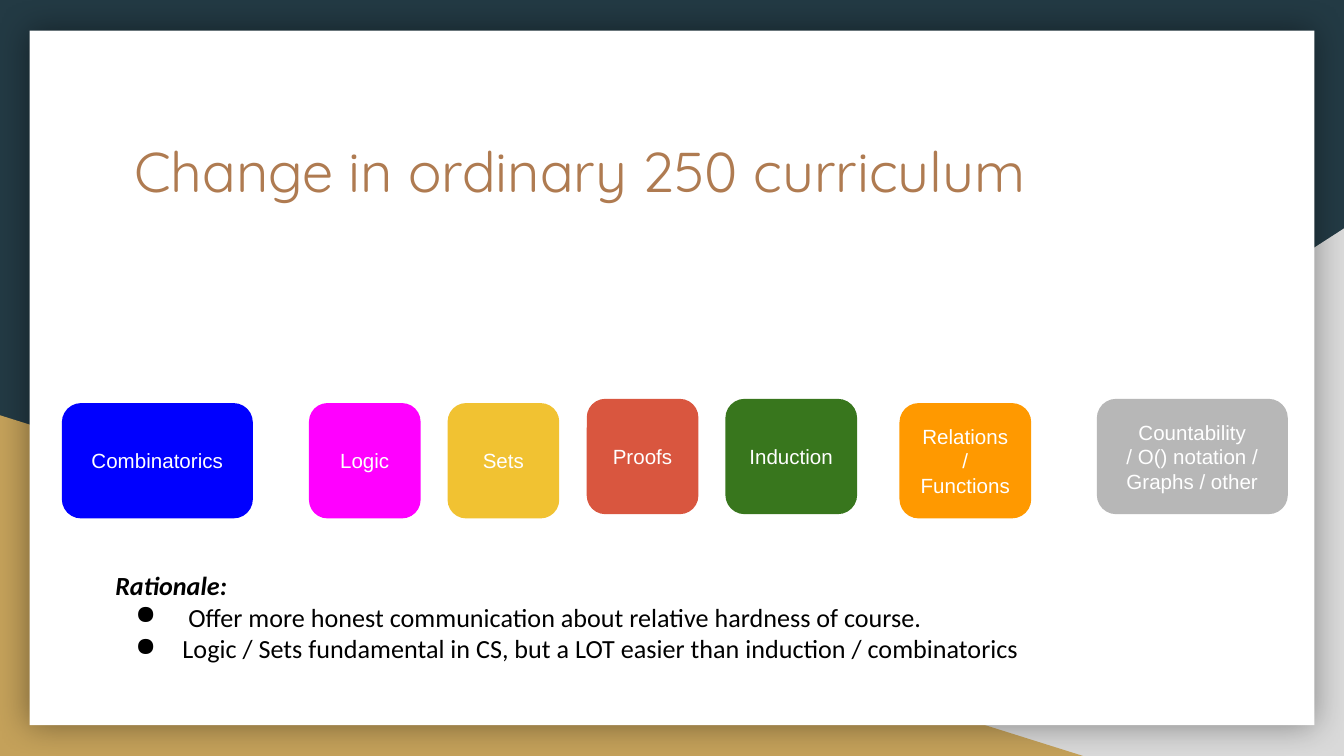
from lxml import etree
from pptx import Presentation
from pptx.dml.color import RGBColor
from pptx.enum.shapes import MSO_SHAPE
from pptx.enum.text import MSO_ANCHOR, PP_ALIGN
from pptx.oxml import parse_xml
from pptx.oxml.ns import nsdecls, qn
from pptx.util import Cm, Pt


def add_block(kind, left, top, width, height, color):
    block = slide.shapes.add_shape(kind, Cm(left), Cm(top), Cm(width), Cm(height))
    block.shadow.inherit = False
    block.fill.solid()
    block.fill.fore_color.rgb = RGBColor.from_string(color)
    block.line.fill.background()
    return block


def write(shape, text, font, size, color, align=PP_ALIGN.LEFT,
          anchor=MSO_ANCHOR.TOP, heading=False, bullet=None):
    """Fill a shape, one paragraph a line; a heading line is bold italic and the rest get bullets."""
    frame = shape.text_frame
    frame.word_wrap = True
    frame.vertical_anchor = anchor
    frame.margin_left = frame.margin_right = Cm(0.25)
    frame.margin_top = frame.margin_bottom = Cm(0.25)
    for i, line in enumerate(text.split("\n")):
        paragraph = frame.paragraphs[0] if i == 0 else frame.add_paragraph()
        paragraph.alignment = align
        is_heading = heading and i == 0
        if bullet and not is_heading:
            properties = paragraph._p.get_or_add_pPr()
            properties.set("marL", str(Cm(1.27)))
            properties.set("indent", str(Cm(-0.89)))
            etree.SubElement(properties, qn("a:buChar")).set("char", bullet)
        run = paragraph.add_run()
        run.text = line
        run.font.name = font
        run.font.size = Pt(size)
        run.font.bold = run.font.italic = is_heading
        run.font.color.rgb = RGBColor.from_string(color)


deck = Presentation()
deck.slide_width, deck.slide_height = Cm(25.4), Cm(14.29)
slide = deck.slides.add_slide(deck.slide_layouts[6])
slide.background.fill.solid()
slide.background.fill.fore_color.rgb = RGBColor.from_string("233A44")

# Backdrop
gray_corner = add_block(MSO_SHAPE.RIGHT_TRIANGLE, 9.96, 4.32, 15.44, 9.97, "D9D9D9")
gray_corner._element.spPr.xfrm.set("flipH", "1")
add_block(MSO_SHAPE.RIGHT_TRIANGLE, 0, 7.85, 20.47, 6.44, "C4A15A")
panel = add_block(MSO_SHAPE.RECTANGLE, 0.56, 0.58, 24.28, 13.13, "FFFFFF")
panel._element.spPr.find(qn("a:effectLst")).append(parse_xml(
    f'<a:outerShdw {nsdecls("a")} blurRad="{Pt(18)}" dist="0" dir="0" algn="ctr" '
    'rotWithShape="0"><a:srgbClr val="000000"><a:alpha val="40000"/></a:srgbClr></a:outerShdw>'))

title = slide.shapes.add_textbox(Cm(2.29), Cm(2.34), Cm(20.85), Cm(2.64))
write(title, "Change in ordinary 250 curriculum", font="Quicksand", size=30, color="AF7B51")

# Course topics: text, left, top, width, color
topics = [
    ("Combinatorics", 1.17, 7.62, 3.61, "0000FF"),
    ("Logic", 5.84, 7.62, 2.11, "FF00FF"),
    ("Sets", 8.46, 7.62, 2.11, "F1C232"),
    ("Proofs", 11.09, 7.54, 2.11, "D9563F"),
    ("Induction", 13.71, 7.54, 2.49, "38761D"),
    ("Relations / Functions", 17, 7.62, 2.49, "FF9900"),
    ("Countability\n/ O() notation / Graphs / other", 20.73, 7.54, 3.61, "B7B7B7"),
]
for text, left, top, width, color in topics:
    topic = add_block(MSO_SHAPE.ROUNDED_RECTANGLE, left, top, width, 2.18, color)
    write(topic, text, font="Arial", size=11, color="FFFFFF",
          align=PP_ALIGN.CENTER, anchor=MSO_ANCHOR.MIDDLE)

rationale = slide.shapes.add_textbox(Cm(1.93), Cm(10.52), Cm(21.87), Cm(2.31))
write(rationale,
      "Rationale:\n"
      " Offer more honest communication about relative hardness of course.\n"
      "Logic / Sets fundamental in CS, but a LOT easier than induction / combinatorics",
      font="Calibri", size=14, color="000000", heading=True, bullet="●")

deck.save("out.pptx")
